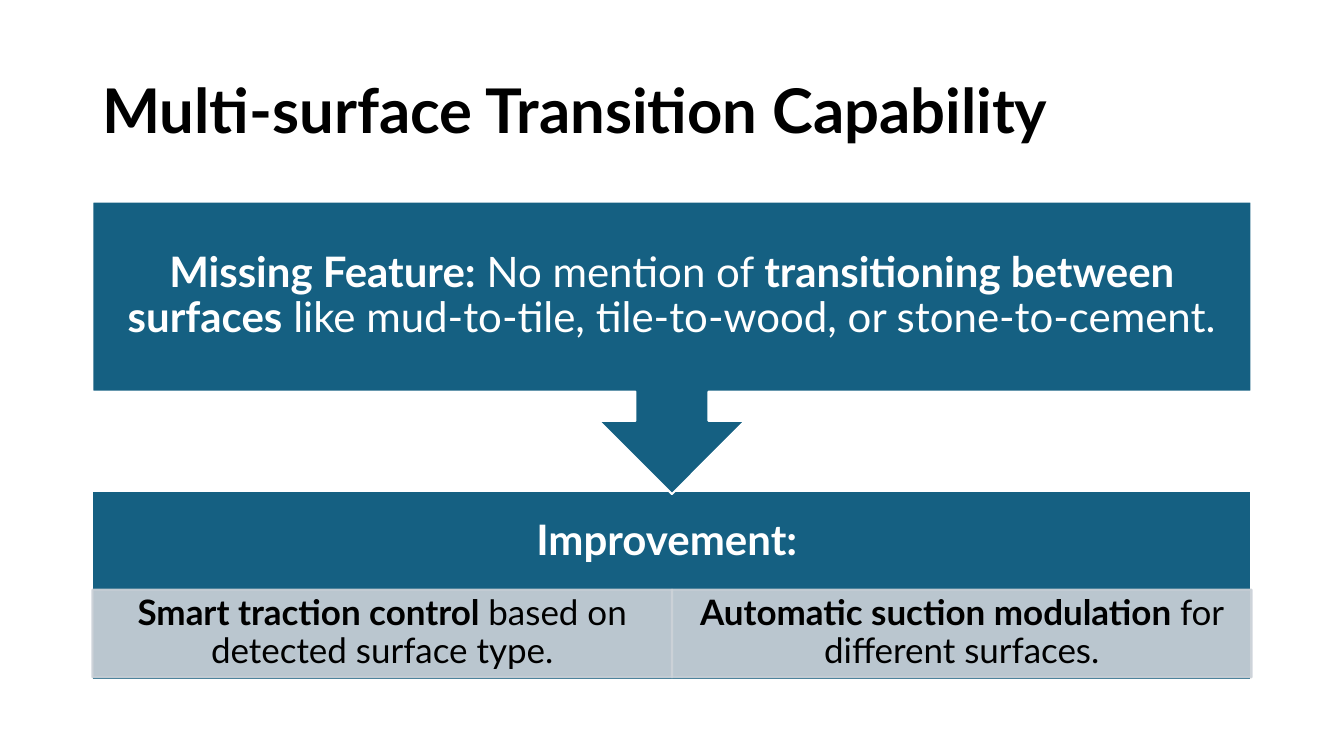
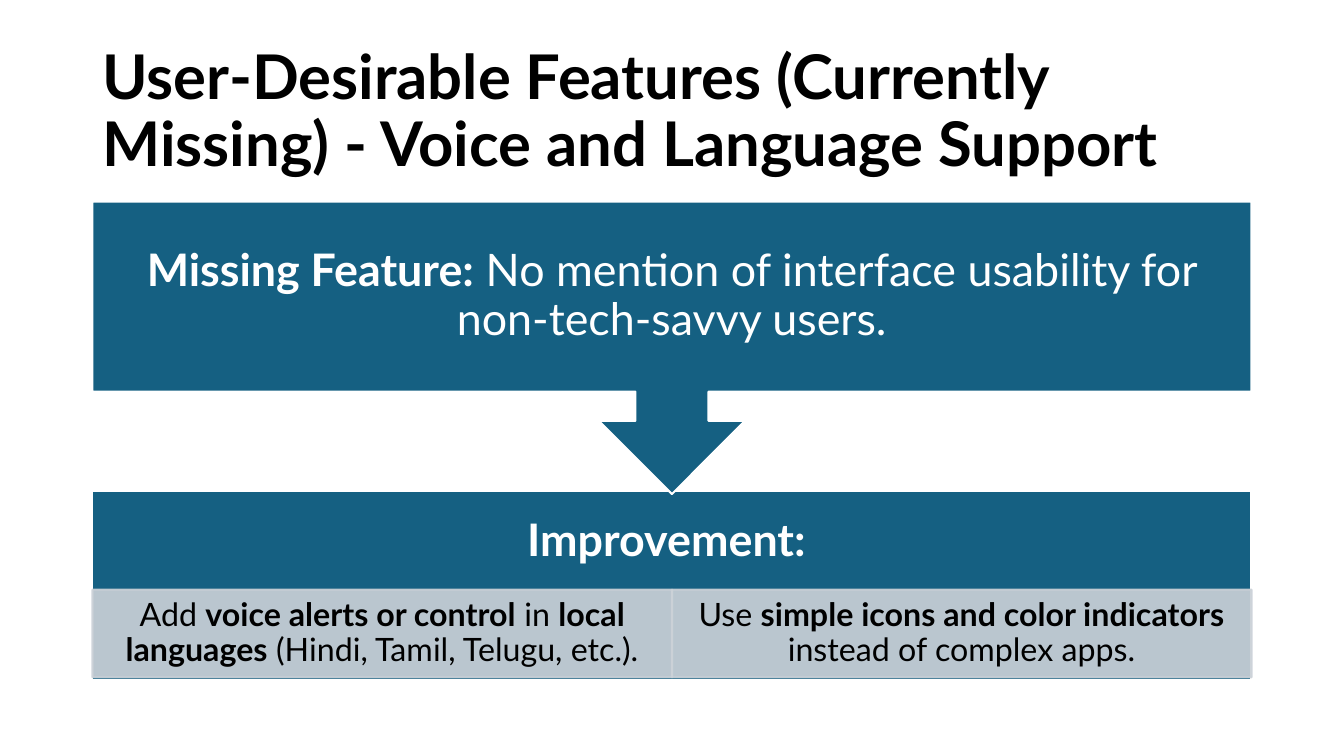
"""Build two slides that lead from a missing feature to its improvements."""
from lxml.etree import SubElement
from pptx import Presentation
from pptx.dml.color import RGBColor
from pptx.enum.shapes import MSO_SHAPE
from pptx.enum.text import MSO_ANCHOR, PP_ALIGN
from pptx.oxml.ns import qn
from pptx.util import Cm, Pt

FONT = "Lato"
BLUE, TILE, WHITE, BLACK = "156082", "CCD2D8", "FFFFFF", "000000"
LEFT, WIDTH = 2.33, 29.21
TITLE_BOX = (LEFT, 1.01, WIDTH, 3.68)
FEATURE_BOX = (LEFT, 5.08, WIDTH, 7.37)
IMPROVEMENT_BOX = (LEFT, 12.37, WIDTH, 4.78)
TILE_TOP, TILE_HEIGHT = 2.49, 2.21
HEADING_HEIGHT = 2.58

SLIDES = [
    {
        "title": "Multi-surface Transition Capability",
        "feature": "**Missing Feature:** No mention of **transitioning between surfaces**"
                   " like mud-to-tile, tile-to-wood, or stone-to-cement.",
        "improvements": [
            "**Smart traction control** based on detected surface type.",
            "**Automatic suction modulation** for different surfaces.",
        ],
        "main_size": 30,
        "tile_size": 25,
    },
    {
        "title": "User-Desirable Features (Currently Missing) - Voice and Language Support",
        "feature": "**Missing Feature:** No mention of interface usability for"
                   " non-tech-savvy users.",
        "improvements": [
            "Add **voice alerts or control** in **local languages**"
            " (Hindi, Tamil, Telugu, etc.).",
            "Use **simple icons and color indicators** instead of complex apps.",
        ],
        "main_size": 32,
        "tile_size": 23,
    },
]


def color(hex_value):
    """Turn a hex string into a colour."""
    return RGBColor.from_string(hex_value)


def write(shape, text, size, text_color, insets, align=PP_ALIGN.CENTER):
    """Write text, bold between double asterisks, in the middle of a shape."""
    frame = shape.text_frame
    frame.word_wrap = True
    frame.vertical_anchor = MSO_ANCHOR.MIDDLE
    (frame.margin_left, frame.margin_top,
     frame.margin_right, frame.margin_bottom) = map(Cm, insets)
    paragraph = frame.paragraphs[0]
    paragraph.alignment = align
    paragraph.line_spacing = 0.9
    for index, part in enumerate(text.split("**")):
        if part:
            run = paragraph.add_run()
            run.text = part
            run.font.name = FONT
            run.font.size = Pt(size)
            run.font.bold = index % 2 == 1
            run.font.color.rgb = color(text_color)


def add_block(slide, kind, box, fill, line, opacity=100):
    """Add a filled, outlined shape without shadow."""
    block = slide.shapes.add_shape(kind, *map(Cm, box))
    block.shadow.inherit = False
    block.fill.solid()
    block.fill.fore_color.rgb = color(fill)
    block.line.color.rgb = color(line)
    block.line.width = Pt(1.5)
    if opacity < 100:
        for tint in block._element.spPr.findall(".//" + qn("a:srgbClr")):
            SubElement(tint, qn("a:alpha")).set("val", str(opacity * 1000))
    return block


def add_title(slide, box, text):
    """Add the slide title."""
    title = slide.shapes.add_textbox(*map(Cm, box))
    write(title, f"**{text}**", 44, BLACK, (0.25, 0.13, 0.25, 0.13), PP_ALIGN.LEFT)


def add_feature(slide, box, text, size):
    """Add the missing feature as a callout that points down."""
    feature = add_block(slide, MSO_SHAPE.DOWN_ARROW_CALLOUT, box, BLUE, WHITE)
    write(feature, text, size, WHITE, (0.02 * size,) * 4)


def add_improvements(slide, box, improvements, main_size, tile_size):
    """Add the improvement panel with its heading and a row of tiles."""
    left, top, width, height = box
    panel = add_block(slide, MSO_SHAPE.RECTANGLE, box, BLUE, WHITE)
    inset = 0.02 * main_size
    write(panel, "**Improvement: **", main_size, WHITE,
          (inset, inset, inset, height - HEADING_HEIGHT + inset))
    tile_width = width / len(improvements)
    side = 0.02 * tile_size
    for column, improvement in enumerate(improvements):
        tile_box = (left + column * tile_width, top + TILE_TOP, tile_width, TILE_HEIGHT)
        tile = add_block(slide, MSO_SHAPE.RECTANGLE, tile_box, TILE, TILE, opacity=90)
        write(tile, improvement, tile_size, BLACK, (side, 0.08, side, 0.08))


def add_feature_slide(deck, content):
    """Add one slide with title, missing feature and improvements."""
    slide = deck.slides.add_slide(deck.slide_layouts[6])
    add_title(slide, TITLE_BOX, content["title"])
    add_improvements(slide, IMPROVEMENT_BOX, content["improvements"],
                     content["main_size"], content["tile_size"])
    add_feature(slide, FEATURE_BOX, content["feature"], content["main_size"])


def main():
    """Build and save the deck."""
    deck = Presentation()
    deck.slide_width, deck.slide_height = Cm(33.87), Cm(19.05)
    for content in SLIDES:
        add_feature_slide(deck, content)
    deck.save("out.pptx")


if __name__ == "__main__":
    main()
